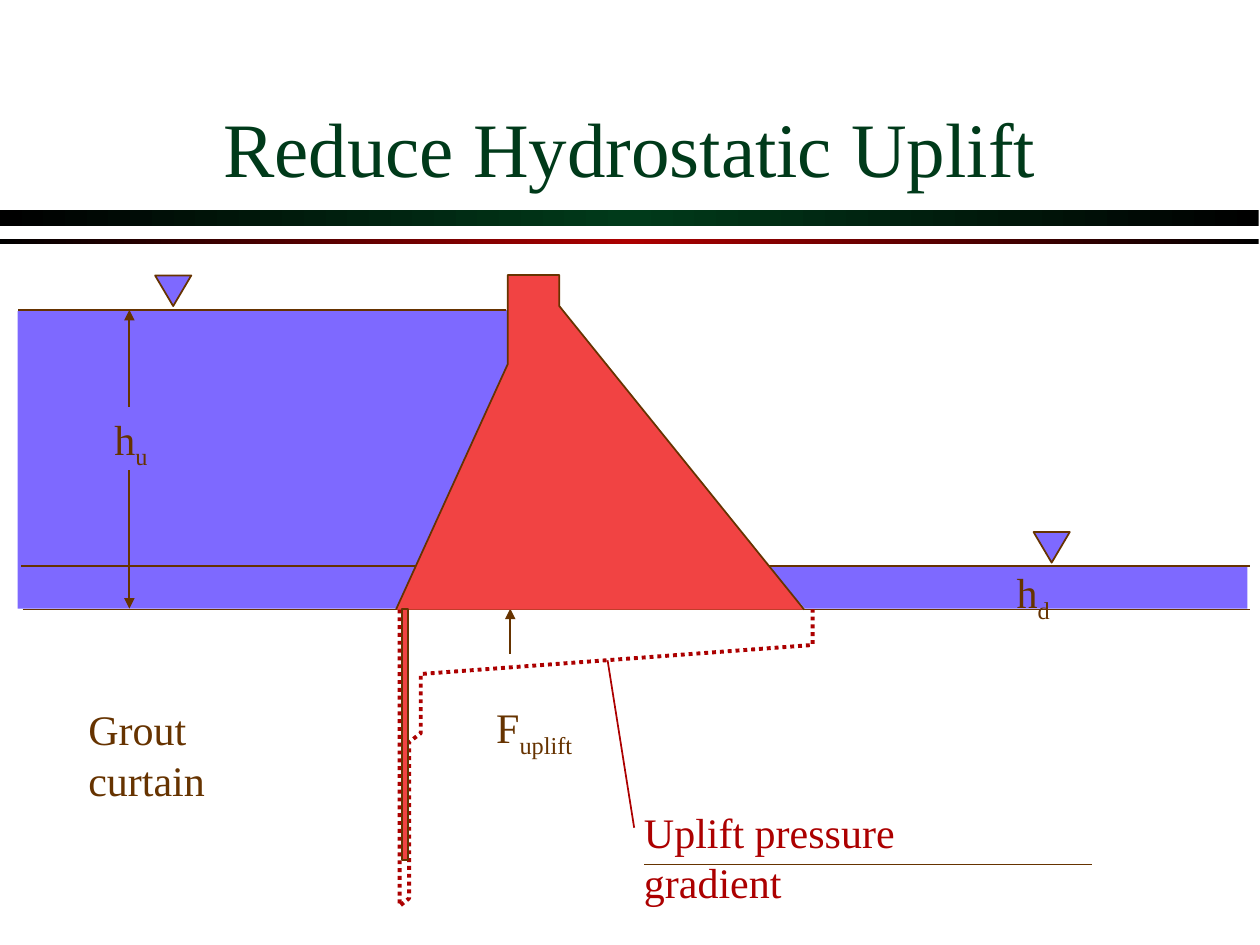
from copy import deepcopy

from lxml.etree import SubElement
from pptx import Presentation
from pptx.dml.color import RGBColor
from pptx.enum.dml import MSO_LINE
from pptx.enum.shapes import MSO_CONNECTOR, MSO_SHAPE
from pptx.enum.text import MSO_ANCHOR, PP_ALIGN
from pptx.oxml.ns import qn
from pptx.util import Pt

THEME = {
    "font": "Times New Roman", "title": 44, "label": 24, "line": 1, "dots": 2.25,
    "black": "000000", "green": "003A1A", "crimson": "AC0000",
    "water": "7E69FF", "concrete": "F14343", "brown": "663300",
}

# Content: lengths in points; boxes are left, top, width, height
TITLE = ("Reduce Hydrostatic Uplift", (54, 23.8, 612, 90))
RULES = [((0, 120, 719.3, 9), "green"), ((0, 136.6, 719.3, 3), "crimson")]

BED, TAILWATER, HEADWATER = 348.3, 323.3, 177.1
DOWNSTREAM = [(437.8, TAILWATER), (712.8, TAILWATER), (712.8, 347.8), (460, 347.8)]
UPSTREAM = [(10.1, 177.8), (291.6, HEADWATER), (291.6, 208), (226.8, 347.8), (10.1, 347.8)]
DAM = [(226.3, BED), (290.2, 208), (290.2, 157.1), (319.6, 157.1),
       (319.6, 174.9), (459.5, BED)]
UPLIFT_DIAGRAM = [(228.4, BED), (228.4, 517.7), (233.8, 513.4), (233.8, 424.1),
                  (240.5, 419), (240.5, 385.2), (464.4, 368.6), (464.4, BED)]
GROUT_CURTAIN = (229.7, 348, 3.6, 143.3)

SURFACE_MARKERS = [(88.6, 157.4), (590.6, 304)]
MARKER_SIZE = (20.7, 17.5)

# Labels: text, subscript, box, colour, background, wraps
H_DOWN = ("h", "d", (573.8, 320.4, 34.6, 36), "brown", None, False)
H_UP = ("h", "u", (58.3, 232.6, 34.6, 36), "brown", "water", False)
FORCE = ("F", "uplift", (276.5, 397.4, 62.6, 36), "brown", None, False)
GRADIENT = ("Uplift pressure gradient", "", (360.9, 457.2, 230, 36), "crimson", None, True)
CURTAIN = ("Grout curtain", "", (43.4, 398.6, 130, 36), "brown", None, True)

# Lines: start, end, colour, arrowheads
BED_LINE = ((13, BED), (714.2, BED), "brown", ())
HEADWATER_LINE = ((289.4, HEADWATER), (10.1, HEADWATER), "brown", ())
TAILWATER_LINE = ((12.2, TAILWATER), (714.2, TAILWATER), "brown", ())
DEPTH_ARROW = ((73.9, HEADWATER), (73.9, 347.8), "brown", ("headEnd", "tailEnd"))
FORCE_ARROW = ((291.6, 373.7), (291.6, 347.8), "brown", ("tailEnd",))
GRADIENT_LEADER = ((347.2, 377.3), (362.4, 473), "crimson", ())
GRADIENT_UNDERLINE = ((368.2, 494), (624.2, 494), "brown", ())


def color(name):
    return RGBColor.from_string(THEME[name])


def apply(target, formats):
    for name, value in formats.items():
        setattr(target, name, value)


def paint(shape, fill=None, line=None, width=THEME["line"]):
    shape.shadow.inherit = False
    if fill:
        shape.fill.solid()
        shape.fill.fore_color.rgb = color(fill)
    else:
        shape.fill.background()
    if line:
        shape.line.color.rgb = color(line)
        shape.line.width = Pt(width)
    else:
        shape.line.fill.background()
    return shape


def add_preset(shapes, kind, box):
    return shapes.add_shape(kind, *map(Pt, box))


def add_rule(shapes, box, middle):
    rule = paint(add_preset(shapes, MSO_SHAPE.RECTANGLE, box))
    rule.fill.gradient()
    rule.fill.gradient_angle = 0
    stops = rule.fill.gradient_stops
    first = rule._element.spPr.find(".//" + qn("a:gs"))
    first.addnext(deepcopy(first))
    stops = rule.fill.gradient_stops
    for stop, position, name in zip(stops, (0, 0.5, 1), ("black", middle, "black")):
        stop.position = position
        stop.color.rgb = color(name)


def add_outline(shapes, points, close=True, **look):
    corners = [(Pt(x), Pt(y)) for x, y in points]
    builder = shapes.build_freeform(*corners[0], scale=1.0)
    builder.add_line_segments(corners[1:], close=close)
    return paint(builder.convert_to_shape(), **look)


def add_line(shapes, start, end, name, heads):
    line = shapes.add_connector(MSO_CONNECTOR.STRAIGHT, *map(Pt, start + end))
    line.line.color.rgb = color(name)
    line.line.width = Pt(THEME["line"])
    for head in heads:
        SubElement(line.line._get_or_add_ln(), qn("a:" + head), type="triangle")
    SubElement(line._element.spPr, qn("a:effectLst"))


def write(paragraph, text, size, name):
    run = paragraph.add_run()
    run.text = text
    apply(run.font, {"name": THEME["font"], "size": Pt(THEME[size])})
    run.font.color.rgb = color(name)
    return run


def add_label(shapes, text, subscript, box, name, background, wraps):
    if background:
        label = paint(add_preset(shapes, MSO_SHAPE.RECTANGLE, box), background)
    else:
        label = shapes.add_textbox(*map(Pt, box))
    apply(label.text_frame, {"word_wrap": wraps, "vertical_anchor": MSO_ANCHOR.TOP})
    paragraph = label.text_frame.paragraphs[0]
    paragraph.alignment = PP_ALIGN.LEFT
    write(paragraph, text, "label", name)
    if subscript:
        low = write(paragraph, subscript, "label", name)
        low.font._element.set("baseline", "-25000")


def add_title(shapes, text, box):
    title = shapes.add_textbox(*map(Pt, box))
    apply(title.text_frame, {"word_wrap": True, "vertical_anchor": MSO_ANCHOR.BOTTOM})
    paragraph = title.text_frame.paragraphs[0]
    paragraph.alignment = PP_ALIGN.CENTER
    run = write(paragraph, text, "title", "green")
    # Text shadow sits right after the run's fill
    effects = SubElement(run.font._element, qn("a:effectLst"))
    run.font._element.find(qn("a:solidFill")).addnext(effects)
    shadow = SubElement(effects, qn("a:outerShdw"), dist="38100", dir="2700000")
    SubElement(shadow, qn("a:srgbClr"), val=THEME["black"])


def main():
    deck = Presentation()
    apply(deck, {"slide_width": Pt(720), "slide_height": Pt(540)})
    shapes = deck.slides.add_slide(deck.slide_layouts[6]).shapes

    # Heading
    for box, middle in RULES:
        add_rule(shapes, box, middle)

    # Water on both sides
    for water in (DOWNSTREAM, UPSTREAM):
        add_outline(shapes, water, fill="water")
    add_title(shapes, *TITLE)
    for line in (BED_LINE, HEADWATER_LINE):
        add_line(shapes, *line)
    for corner in SURFACE_MARKERS:
        marker = add_preset(shapes, MSO_SHAPE.ISOSCELES_TRIANGLE, corner + MARKER_SIZE)
        paint(marker, "water", "brown").rotation = 180

    # Depths, force and captions
    add_label(shapes, *H_DOWN)
    add_line(shapes, *DEPTH_ARROW)
    add_label(shapes, *H_UP)
    add_line(shapes, *FORCE_ARROW)
    for label in (FORCE, GRADIENT, CURTAIN):
        add_label(shapes, *label)
    add_line(shapes, *GRADIENT_LEADER)

    # Uplift pressure diagram
    uplift = add_outline(shapes, UPLIFT_DIAGRAM, close=False,
                         line="crimson", width=THEME["dots"])
    uplift.line.dash_style = MSO_LINE.ROUND_DOT

    # Dam and grout curtain
    add_line(shapes, *TAILWATER_LINE)
    add_outline(shapes, DAM, close=False, fill="concrete", line="brown")
    paint(add_preset(shapes, MSO_SHAPE.RECTANGLE, GROUT_CURTAIN), "concrete", "brown")
    add_line(shapes, *GRADIENT_UNDERLINE)

    deck.save("out.pptx")


if __name__ == "__main__":
    main()
